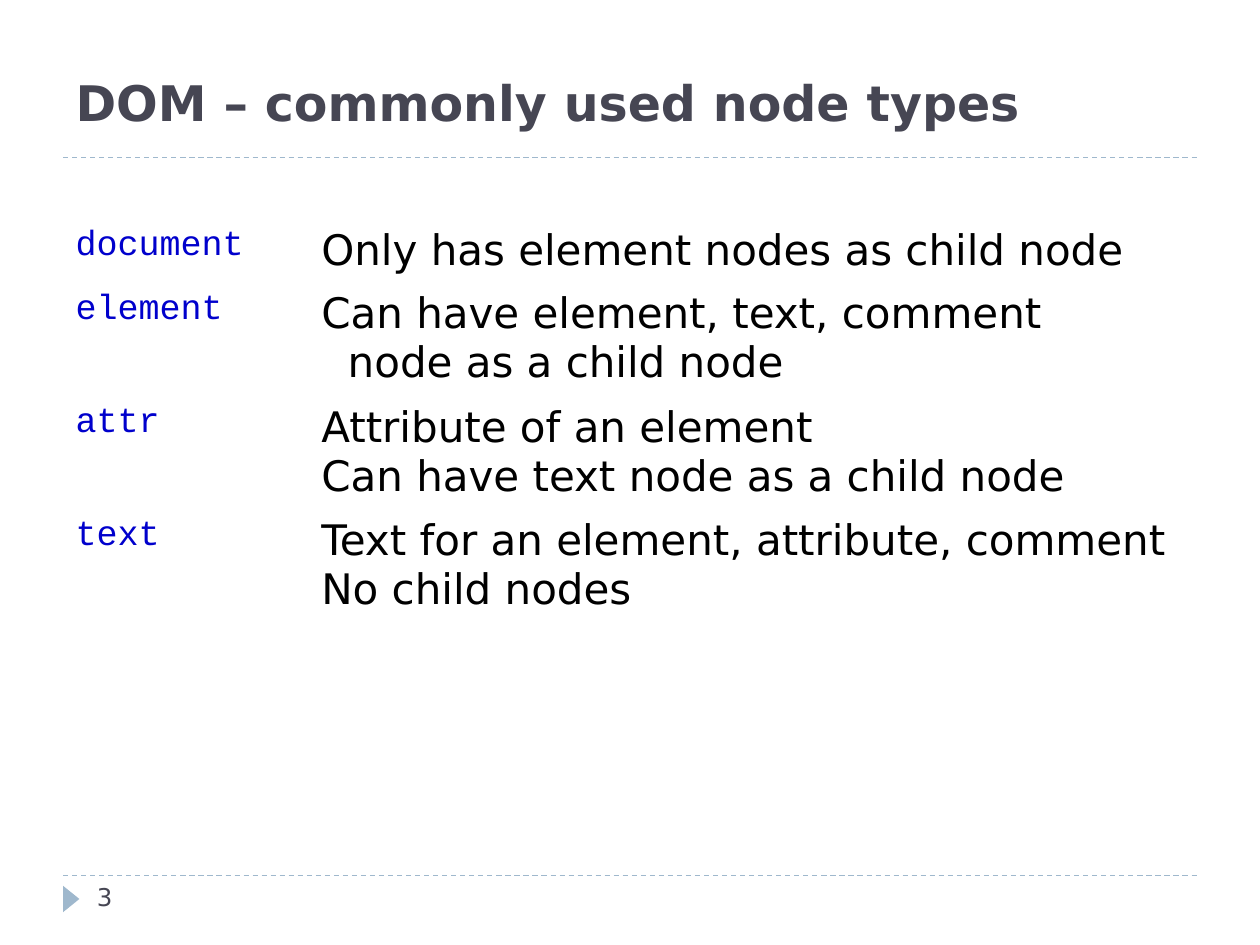
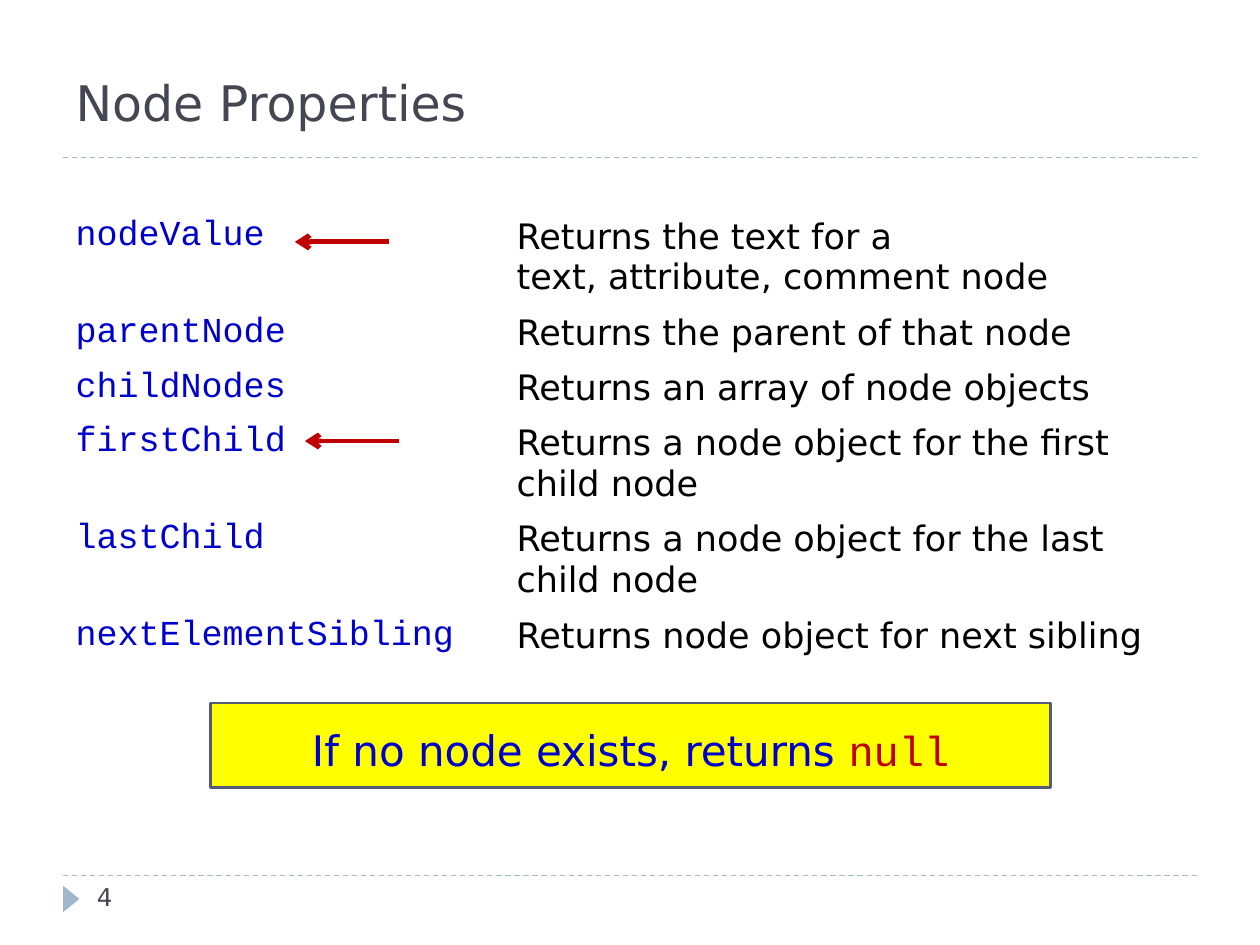
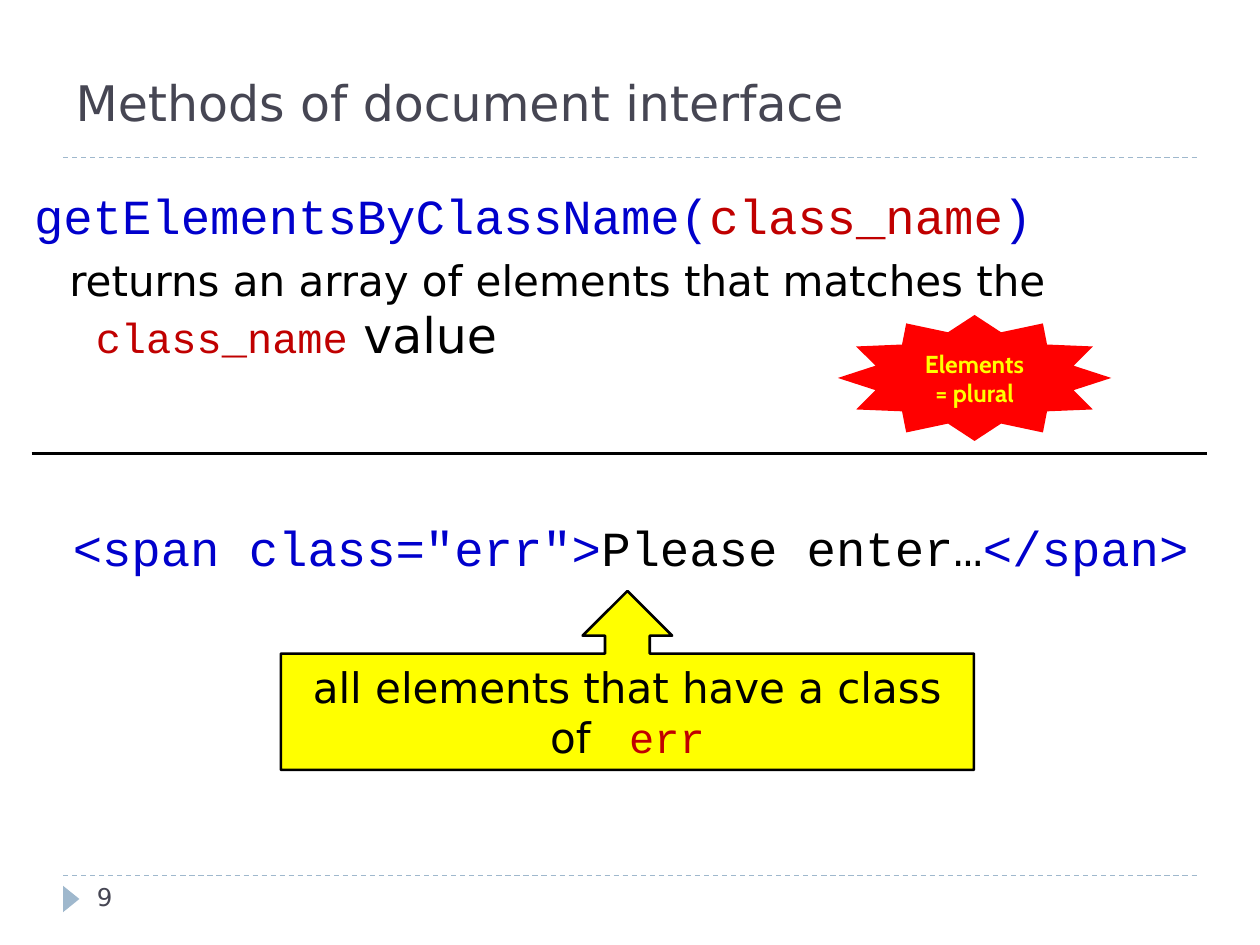
"""Build three slides on DOM node types, node properties and document methods."""
from lxml import etree
from pptx import Presentation
from pptx.dml.color import RGBColor
from pptx.enum import dml, shapes, text
from pptx.oxml import ns
from pptx.util import Inches, Pt

C = {"title": "464653", "accent": "9FB8CD", "code": "0000CC", "arg": "C00000",
     "body": "000000", "note": "FFFF00", "edge": "545C79", "burst": "FF0000"}
SANS, MONO, ROUND = "DejaVu Sans", "Courier New", "Cabin"
LEFT, CENTER = text.PP_ALIGN.LEFT, text.PP_ALIGN.CENTER
TOP, MIDDLE, BOTTOM = (text.MSO_ANCHOR.TOP, text.MSO_ANCHOR.MIDDLE,
                       text.MSO_ANCHOR.BOTTOM)


def write(tf, paras, align=LEFT, anchor=TOP, before=(), margin=0, hang=0):
    """Fill a text frame with paragraphs of (text, font, size, colour, bold) runs."""
    tf.word_wrap, tf.vertical_anchor = True, anchor
    for i, runs in enumerate(paras):
        p = tf.paragraphs[0] if i == 0 else tf.add_paragraph()
        p.alignment = align
        p.space_before = Pt(before[i] if before else 0)
        pPr = p._p.get_or_add_pPr()
        pPr.set("marL", str(Inches(margin)))
        pPr.set("indent", str(Inches(-hang)))
        etree.SubElement(pPr, ns.qn("a:buNone"))
        for words, name, size, color, *bold in runs:
            p.add_run().text = words
            for r in p.runs[-1:]:
                fmt = {"name": name, "size": Pt(size), "bold": bool(bold)}
                for key, value in fmt.items():
                    setattr(r.font, key, value)
                r.font.color.rgb = RGBColor.from_string(C[color])


def draw(s, kind, box, fill=None, line=None, width=1.5, dash=None, arrow=False):
    """Add a preset shape, or a connector from two end points if kind is None."""
    box = [Inches(v) for v in box]
    if kind is None:
        sp = s.shapes.add_connector(shapes.MSO_CONNECTOR.STRAIGHT, *box)
        etree.SubElement(sp.line._get_or_add_ln(), ns.qn("a:prstDash"), val="solid")
        sp.line.dash_style = dash
        if arrow:
            etree.SubElement(sp.line._get_or_add_ln(), ns.qn("a:tailEnd"), type="arrow")
        etree.SubElement(sp._element.spPr, ns.qn("a:effectLst"))
    else:
        sp = s.shapes.add_shape(kind, *box)
        sp.shadow.inherit = False
        sp.fill.solid()
        sp.fill.fore_color.rgb = RGBColor.from_string(C[fill])
    if line:
        sp.line.color.rgb = RGBColor.from_string(C[line])
        sp.line.width = Pt(width)
    else:
        sp.line.fill.background()
    return sp


prs = Presentation()
prs.slide_width, prs.slide_height = Inches(10), Inches(7.5)

pages = [
    {"title": "DOM – commonly used node types", "bold": [True], "number": "3",
     "at": (0.5, 1.75), "cols": (1.95, 7.22), "size": 24, "rows": [
         ("document", ["Only has element nodes as child node"]),
         ("element", ["Can have element, text, comment\vnode as a child node"]),
         ("attr", ["Attribute of an element", "Can have text node as a child node"]),
         ("text", ["Text for an element, attribute, comment", "No child nodes"])]},
    {"title": "Node Properties", "bold": [], "number": "4",
     "at": (0.5, 1.67), "cols": (3.5, 5.5), "size": 20, "rows": [
         ("nodeValue", ["Returns the text for a", "text, attribute, comment node"]),
         ("parentNode", ["Returns the parent of that node"]),
         ("childNodes", ["Returns an array of node objects"]),
         ("firstChild", ["Returns a node object for the first child node"]),
         ("lastChild", ["Returns a node object for the last child node"]),
         ("nextElementSibling", ["Returns node object for next sibling"])],
     "body": (0.17, 5.7, 9.67, 0.55)},
    {"title": "Methods of document interface", "bold": [], "number": "9", "rows": [],
     "body": (0.17, 1.42, 9.67, 5.3)},
]

for page in pages:
    s = prs.slides.add_slide(prs.slide_layouts[1 if "body" in page else 5])
    frames = [(s.shapes.title, (0.5, 0.17, 9, 0.92))]
    if "body" in page:
        frames.append((s.placeholders[1], page["body"]))
    for sp, box in frames:
        for key, value in zip(("left", "top", "width", "height"), box):
            setattr(sp, key, Inches(value))
        sp.text_frame.auto_size = text.MSO_AUTO_SIZE.NONE
    write(s.shapes.title.text_frame,
          [[(page["title"], SANS, 28, "title", *page["bold"])]], anchor=BOTTOM)

    for y in (1.25, 6.95):
        draw(s, None, (0.5, y, 9.5, y), line="accent", width=0.75,
             dash=dml.MSO_LINE.DASH)
    marker = draw(s, shapes.MSO_SHAPE.ISOSCELES_TRIANGLE, (0.46, 7.07, 0.21, 0.13),
                  fill="accent")
    marker.rotation = 90
    number = s.shapes.add_textbox(*map(Inches, (0.67, 6.95, 2.17, 0.4)))
    write(number.text_frame, [[(page["number"], SANS, 14, "title")]])

    if page["rows"]:
        n = len(page["rows"])
        tbl = s.shapes.add_table(n, 2, *map(Inches, page["at"]),
                                 Inches(sum(page["cols"])), Inches(0.41 * n)).table
        tbl.first_row = tbl.horz_banding = False
        for col, width in zip(tbl.columns, page["cols"]):
            col.width = Inches(width)
        for row, (term, lines) in zip(tbl.rows, page["rows"]):
            for cell in row.cells:
                cell.fill.background()
            write(row.cells[0].text_frame, [[(term, MONO, 20, "code")]])
            hang = 0.21 if "\v" in lines[0] else 0
            tf = row.cells[1].text_frame
            write(tf, [[] for line in lines], margin=hang, hang=hang)
            for p, line in zip(tf.paragraphs, lines):
                for i, part in enumerate(line.split("\v")):
                    if i:
                        p.add_line_break()
                    r = p.add_run()
                    r.text = part
                    r.font.name, r.font.size = SANS, Pt(page["size"])
                    r.font.color.rgb = RGBColor.from_string(C["body"])

s = prs.slides[1]
body = s.placeholders[1]
write(body.text_frame, [[("If no node exists, returns ", SANS, 24, "code"),
                         ("null", MONO, 24, "arg")]], align=CENTER)
panel = draw(s, shapes.MSO_SHAPE.RECTANGLE, (1.67, 5.58, 6.67, 0.67), "note", "edge")
body._element.addprevious(panel._element)
for x, y in ((2.34, 1.92), (2.42, 3.5)):
    draw(s, None, (x + 0.75, y, x, y), line="arg", width=2.75, arrow=True)

s = prs.slides[2]
tf = s.placeholders[1].text_frame
write(tf, [
    [("getElementsByClassName(", MONO, 28, "code"), ("class_name", MONO, 28, "arg"),
     (")", MONO, 28, "code")],
    [("returns an array of elements that matches the ", SANS, 24, "body"),
     ("class_name", MONO, 24, "arg"), (" value", SANS, 28, "body")],
    [('<span class="err">', MONO, 28, "code"), ("Please enter…", MONO, 28, "body"),
     ("</span>", MONO, 28, "code")],
], before=(0, 6, 88))
tf.paragraphs[1]._p.pPr.set("marL", str(Inches(0.49)))
tf.paragraphs[1]._p.pPr.set("indent", str(Inches(-0.21)))
tf.paragraphs[2].alignment = CENTER

callout = draw(s, shapes.MSO_SHAPE.UP_ARROW_CALLOUT, (2.23, 4.69, 5.5, 1.42),
               "note", "body")
write(callout.text_frame, [[("all elements that have a class of ", SANS, 24, "body"),
                            (" err", MONO, 24, "arg")]], align=CENTER, anchor=MIDDLE)
draw(s, None, (0.25, 3.6, 9.58, 3.6), line="body", width=1.75)
burst = draw(s, shapes.MSO_SHAPE.STAR_12_POINT, (6.65, 2.5, 2.17, 1), "burst")
write(burst.text_frame, [[(words, ROUND, 14, "note", True)]
                         for words in ("Elements", "= plural")],
      align=CENTER, anchor=MIDDLE)

prs.save("out.pptx")
